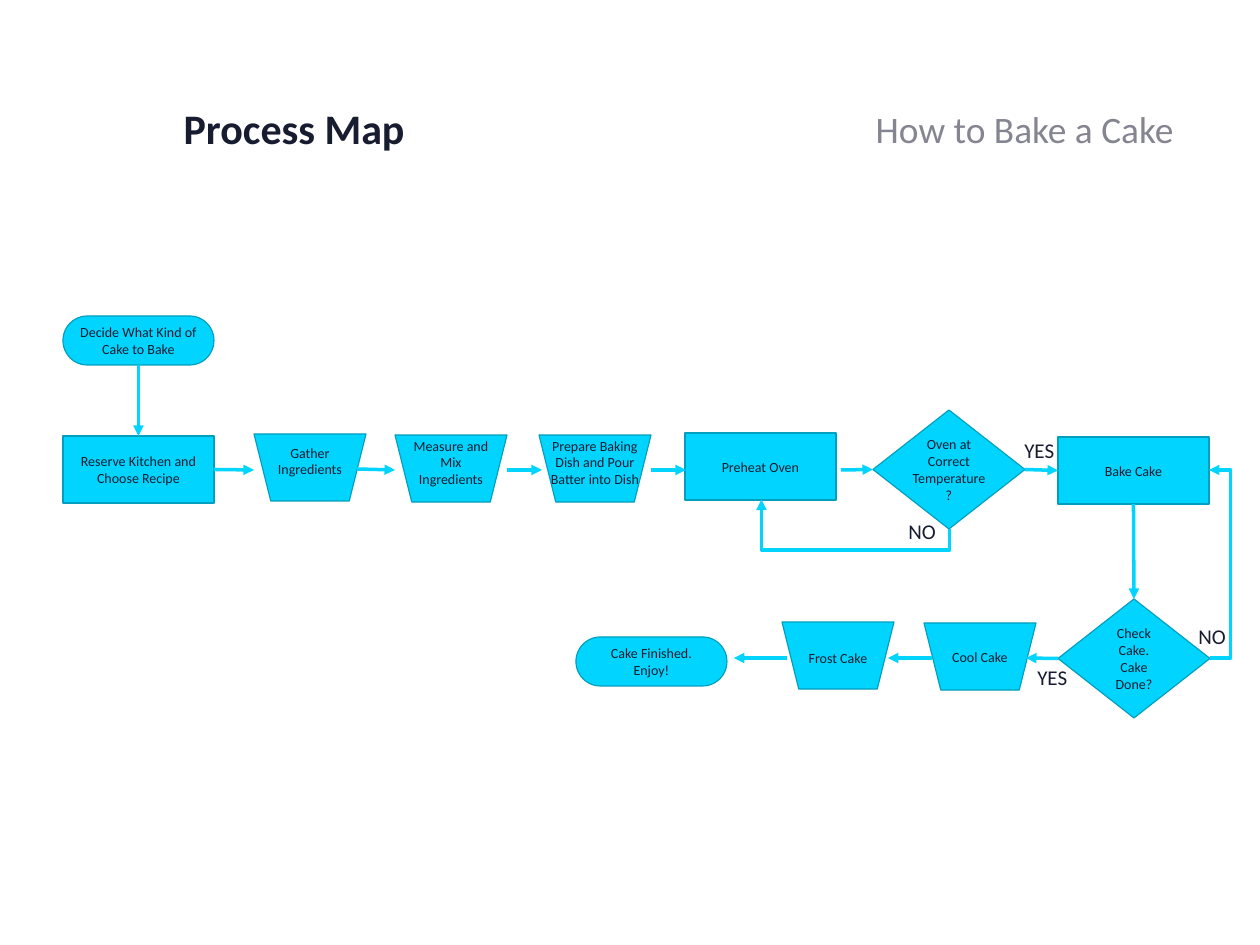
"""Build the process map slide on baking a cake."""
from lxml import etree
from pptx import Presentation, util as u
from pptx.dml.color import RGBColor
from pptx.enum import shapes, text
from pptx.oxml import ns

PX = 914400 // 84
INK, GREY, CYAN, TEAL = "171C30", "858591", "01D5FF", "019EBD"
CENTER, LEFT, RIGHT = text.PP_ALIGN.CENTER, text.PP_ALIGN.LEFT, text.PP_ALIGN.RIGHT
SHAPE, LINK = shapes.MSO_SHAPE, shapes.MSO_CONNECTOR


def color(value):
    return RGBColor.from_string(value)


def write(shape, words, size, align, ink=INK, bold=False):
    frame = shape.text_frame
    frame.word_wrap = True
    frame.text = words
    for paragraph in frame.paragraphs:
        paragraph.alignment = align
        for run in paragraph.runs:
            run.font.name, run.font.size, run.font.bold = "Calibri", u.Pt(size), bold
            run.font.color.rgb = color(ink)


deck = Presentation()
deck.slide_width, deck.slide_height = 1260 * PX, 945 * PX
slide = deck.slides.add_slide(deck.slide_layouts[6])

labels = [
    ("Process Map", 35, 98, 378, 60, 36, RIGHT, INK, True),
    ("How to Bake a Cake", 602, 102, 580, 54, 32, RIGHT, GREY, False),
    ("NO", 900, 514, 55, 34, 18, LEFT, INK, False),
    ("YES", 1016, 433, 55, 34, 18, LEFT, INK, False),
    ("NO", 1190, 619, 55, 34, 18, LEFT, INK, False),
    ("YES", 1029, 660, 55, 34, 18, LEFT, INK, False),
]

sizes = {
    SHAPE.FLOWCHART_TERMINATOR: (151, 49),
    SHAPE.FLOWCHART_PROCESS: (151, 67),
    SHAPE.FLOWCHART_DECISION: (152, 119),
    SHAPE.TRAPEZOID: (112, 67),
}
steps = [
    ("decide", SHAPE.FLOWCHART_TERMINATOR, 63, 316, "Decide What Kind of Cake to Bake"),
    ("reserve", SHAPE.FLOWCHART_PROCESS, 63, 436, "Reserve Kitchen and Choose Recipe"),
    ("gather", SHAPE.TRAPEZOID, 254, 434, ""),
    ("measure", SHAPE.TRAPEZOID, 395, 435, ""),
    ("prepare", SHAPE.TRAPEZOID, 539, 435, ""),
    ("preheat", SHAPE.FLOWCHART_PROCESS, 685, 433, "Preheat Oven"),
    ("oven", SHAPE.FLOWCHART_DECISION, 873, 410, "Oven at Correct Temperature?"),
    ("bake", SHAPE.FLOWCHART_PROCESS, 1058, 437, "Bake Cake"),
    ("check", SHAPE.FLOWCHART_DECISION, 1058, 599, "Check Cake.\vCake Done?"),
    ("cool", SHAPE.TRAPEZOID, 924, 623, ""),
    ("frost", SHAPE.TRAPEZOID, 782, 622, ""),
    ("finish", SHAPE.FLOWCHART_TERMINATOR, 576, 637, "Cake Finished.\vEnjoy!"),
]
step_shapes = {}
for step, kind, left, top, words in steps:
    width, height = sizes[kind]
    box = slide.shapes.add_shape(kind, left * PX, top * PX, width * PX, height * PX)
    box.shadow.inherit = False
    box.fill.solid()
    box.fill.fore_color.rgb = color(CYAN)
    box.line.color.rgb = color(TEAL)
    box.line.width = u.Pt(1)
    if kind == SHAPE.TRAPEZOID:
        box.rotation = 180
    else:
        box.text_frame.vertical_anchor = text.MSO_ANCHOR.MIDDLE
        write(box, words, 12, CENTER)
    step_shapes[step] = box
oven_frame = step_shapes["oven"].text_frame
oven_frame.margin_left = oven_frame.margin_right = 0

manual_labels = [
    ("Gather Ingredients", 254, 440, 42),
    ("Measure and\vMix\vIngredients", 395, 433, 60),
    ("Prepare Baking Dish and Pour Batter into Dish", 539, 433, 60),
    ("Frost Cake", 782, 645, 25),
    ("Cool Cake", 924, 644, 25),
]
labels += [(words, left, top, 112, height, 12, CENTER, INK, False)
           for words, left, top, height in manual_labels]
for words, left, top, width, height, size, align, ink, bold in labels:
    label = slide.shapes.add_textbox(left * PX, top * PX, width * PX, height * PX)
    write(label, words, size, align, ink, bold)

arrows = [
    (138, 365, 138, 436, ("decide", 2), ("reserve", 0)),
    (214, 470, 254, 470, ("reserve", 3), None),
    (357, 469, 395, 470, None, None),
    (507, 470, 542, 470, None, None),
    (651, 470, 686, 470, None, None),
    (841, 470, 873, 469, None, ("oven", 1)),
    (1025, 469, 1058, 470, ("oven", 3), ("bake", 1)),
    (1133, 504, 1133, 599, ("bake", 2), ("check", 0)),
    (1058, 658, 1026, 658, ("check", 1), None),
    (932, 658, 888, 658, None, None),
    (787, 658, 734, 658, None, None),
]
flows = []
for x1, y1, x2, y2, source, target in arrows:
    arrow = slide.shapes.add_connector(LINK.STRAIGHT, x1 * PX, y1 * PX, x2 * PX, y2 * PX)
    if source:
        arrow.begin_connect(step_shapes[source[0]], source[1])
    if target:
        arrow.end_connect(step_shapes[target[0]], target[1])
    flows.append(arrow)

loops = [(870, 420, 841, 608, 90, -74100), (1210, 658, 1209, 470, 0, -2100000)]
for x1, y1, x2, y2, turn, bend in loops:
    loop = slide.shapes.add_connector(LINK.ELBOW, x1 * PX, y1 * PX, x2 * PX, y2 * PX)
    properties = loop.element.spPr
    properties.find(ns.qn("a:xfrm")).set("rot", str(turn * 60000))
    geometry = properties.find(ns.qn("a:prstGeom"))
    adjustments = geometry.find(ns.qn("a:avLst"))
    etree.SubElement(adjustments, ns.qn("a:gd"), name="adj1", fmla=f"val {bend}")
    flows.append(loop)

for flow in flows:
    flow.line.color.rgb = color(CYAN)
    flow.line.width = u.Pt(3)
    etree.SubElement(flow.line._get_or_add_ln(), ns.qn("a:tailEnd"), type="triangle")
    etree.SubElement(flow.element.spPr, ns.qn("a:effectLst"))

deck.save("out.pptx")
